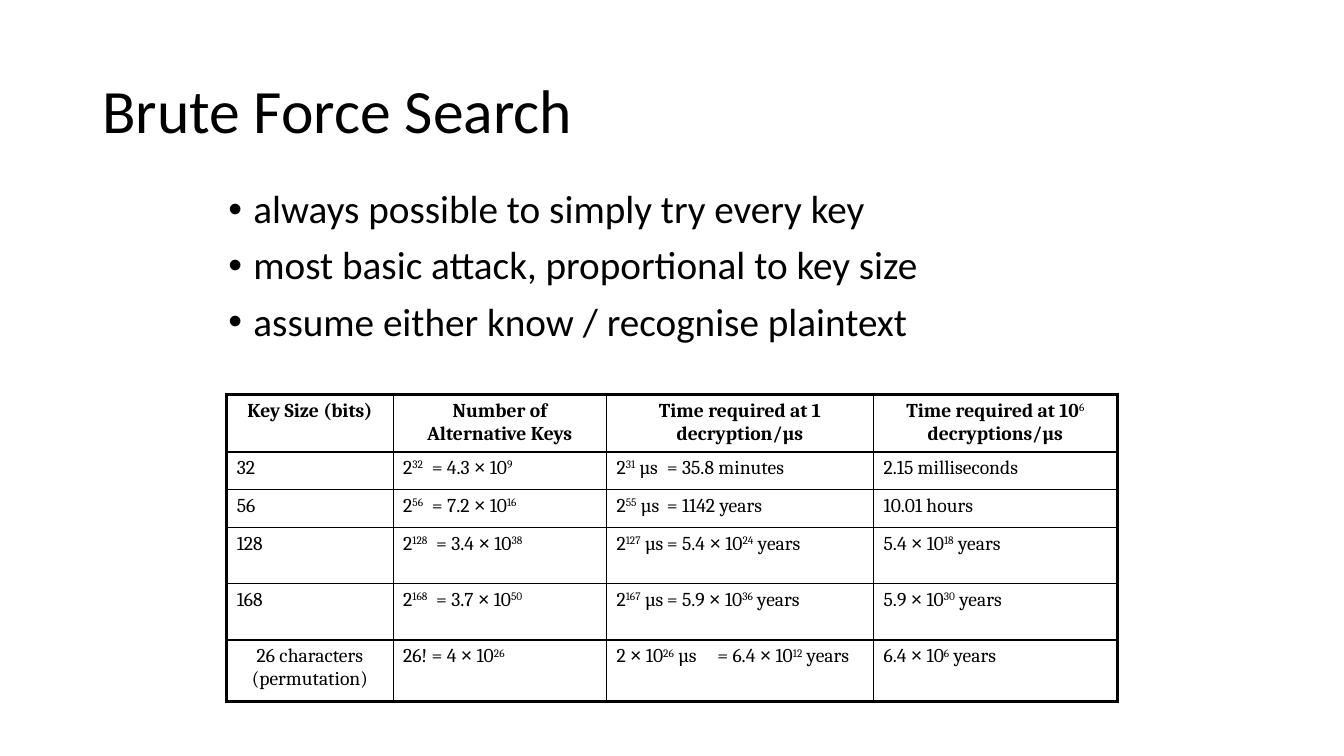
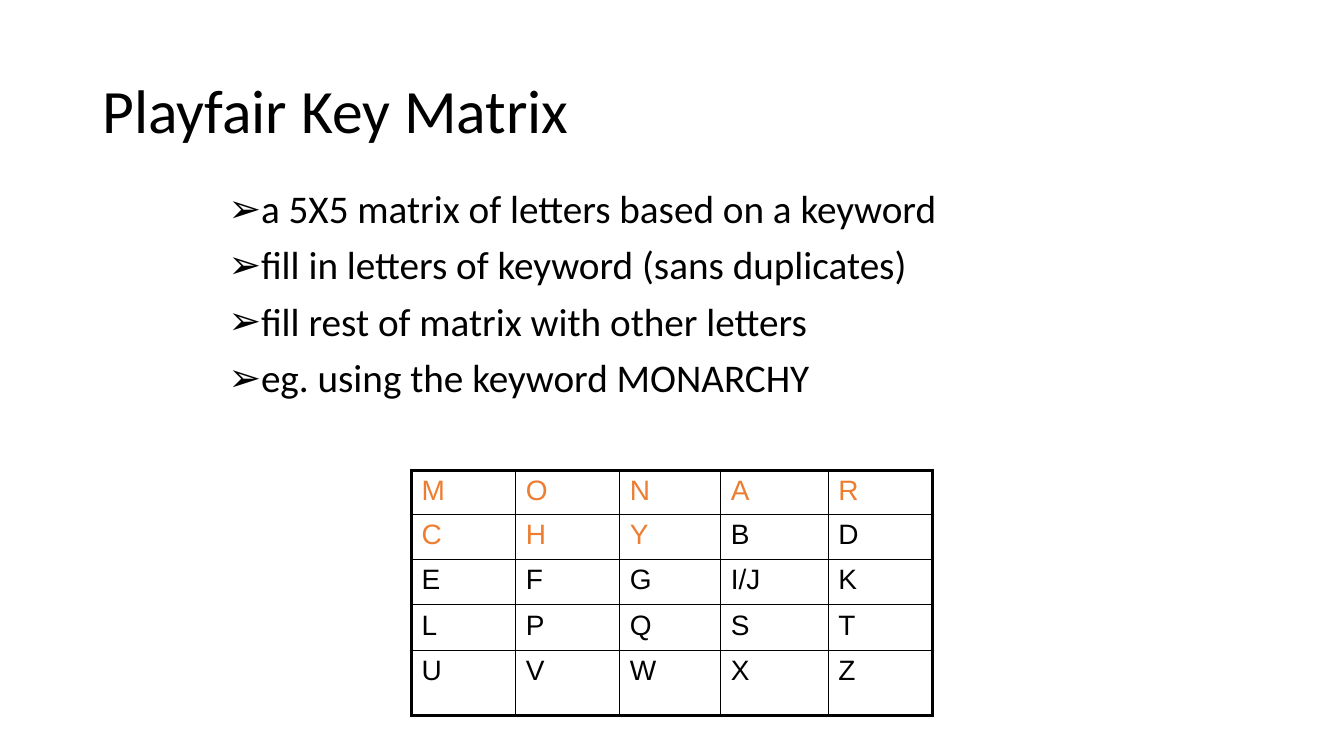
from pptx import Presentation
from pptx.dml.color import RGBColor
from pptx.enum.text import MSO_ANCHOR, PP_ALIGN
from pptx.oxml import parse_xml
from pptx.oxml.ns import nsdecls
from pptx.util import Emu, Pt

MIDDLE, TOP = MSO_ANCHOR.MIDDLE, MSO_ANCHOR.TOP
CENTER, LEFT = PP_ALIGN.CENTER, PP_ALIGN.LEFT

THEME = {
    "ink": "000000", "accent": "ED7D31",
    "font": "Calibri", "serif": "Cambria", "sans": "Arial",
    "title": 44, "body": 28, "keys": 14, "matrix": 20,
    "outer": 2.25, "inner": 1,
}

prs = Presentation()
prs.slide_width, prs.slide_height = Emu(12192000), Emu(6858000)
COLUMNS = 160
UNIT = prs.slide_width // COLUMNS


def add_runs(p, text, font, size, color="ink", bold=False):
    for i, part in enumerate(text.split("^")):
        raised = i % 2 == 1
        for piece in part.replace("×", "|×|").split("|"):
            if not piece:
                continue
            r = p.add_run()
            r.text = piece
            r.font.name = THEME["sans" if piece == "×" else font]
            r.font.size = Pt(THEME[size])
            r.font.color.rgb = RGBColor.from_string(THEME[color])
            r.font.bold = bold and not raised
            if raised:
                r._r.get_or_add_rPr().set("baseline", "30000")


def add_grid(s, left, top, widths, heights):
    box = [Emu(round(n * UNIT)) for n in (left, top, sum(widths), sum(heights))]
    table = s.shapes.add_table(len(heights), len(widths), *box).table
    table.first_row = table.horz_banding = False
    for column, width in zip(table.columns, widths):
        column.width = Emu(round(width * UNIT))
    for row, height in zip(table.rows, heights):
        row.height = Emu(round(height * UNIT))
    for i in range(len(heights)):
        for j in range(len(widths)):
            cell = table.cell(i, j)
            cell.fill.background()
            edges = {"L": j == 0, "R": j == len(widths) - 1,
                     "T": i == 0, "B": i == len(heights) - 1}
            for n, (side, outer) in enumerate(edges.items()):
                weight = Pt(THEME["outer" if outer else "inner"])
                cell._tc.get_or_add_tcPr().insert(n, parse_xml(
                    f'<a:ln{side} {nsdecls("a")} w="{weight}"><a:solidFill>'
                    f'<a:srgbClr val="{THEME["ink"]}"/></a:solidFill></a:ln{side}>'))
    return table


PAGES = [
    ("Brute Force Search", "•", 24, [
        "always possible to simply try every key",
        "most basic attack, proportional to key size",
        "assume either know / recognise plaintext"]),
    ("Playfair Key Matrix", "➢", 35, [
        "a 5X5 matrix of letters based on a keyword",
        "fill in letters of keyword (sans duplicates)",
        "fill rest of matrix with other letters",
        "eg. using the keyword MONARCHY"]),
]

slides = []
for title, bullet, body_height, points in PAGES:
    s = prs.slides.add_slide(prs.slide_layouts[6])
    slides.append(s)
    for box, anchor, size, lines in (
            ((11, 4.8, 138, 17.4), MIDDLE, "title", [title]),
            ((26, 22, 108, body_height), TOP, "body", points)):
        sp = s.shapes.add_textbox(*[Emu(round(n * UNIT)) for n in box])
        tf = sp.text_frame
        tf.word_wrap = True
        tf.vertical_anchor = anchor
        for i, line in enumerate(lines):
            p = tf.add_paragraph() if i else tf.paragraphs[0]
            p.line_spacing = 0.9
            add_runs(p, line, "font", size)
            if size == "body":
                p.space_before = Pt(10)
                pPr = p._p.get_or_add_pPr()
                pPr.set("marL", str(3 * UNIT))
                pPr.set("indent", str(-3 * UNIT))
                pPr.append(parse_xml(f'<a:buFont {nsdecls("a")} typeface="{THEME["sans"]}"/>'))
                pPr.append(parse_xml(f'<a:buChar {nsdecls("a")} char="{bullet}"/>'))

KEY_ROWS = [
    ("Key Size (bits)", "Number of Alternative Keys",
     "Time required at 1 decryption/µs", "Time required at 10^6^ decryptions/µs"),
    ("32", "2^32^  = 4.3 × 10^9^", "2^31^ µs\t= 35.8 minutes", "2.15 milliseconds"),
    ("56", "2^56^  = 7.2 × 10^16^", "2^55^ µs\t= 1142 years", "10.01 hours"),
    ("128", "2^128^  = 3.4 × 10^38^", "2^127^ µs\t= 5.4 × 10^24^ years", "5.4 × 10^18^ years"),
    ("168", "2^168^  = 3.7 × 10^50^", "2^167^ µs\t= 5.9 × 10^36^ years", "5.9 × 10^30^ years"),
    ("26 characters (permutation)", "26! = 4 × 10^26^",
     "2 × 10^26^ µs\t= 6.4 × 10^12^ years", "6.4 × 10^6^ years"),
]
key_table = add_grid(slides[0], 27, 47, [19.8, 25.4, 31.8, 29], [6.6, 4.5, 4.5, 6.7, 6.7, 7.3])
for i, row in enumerate(KEY_ROWS):
    for j, text in enumerate(row):
        p = key_table.cell(i, j).text_frame.paragraphs[0]
        p.alignment = CENTER if i == 0 or text.startswith("26 char") else LEFT
        p.space_before = p.space_after = Pt(3)
        add_runs(p, text, "serif", "keys", bold=i == 0)

KEYWORD = "MONARCHY"
letters = list(KEYWORD) + [c for c in "ABCDEFGHIKLMNOPQRSTUVWXYZ" if c not in KEYWORD]
matrix = add_grid(slides[1], 49, 56, [12.4, 12.4, 12, 12.8, 12.4], [5.2, 5.4, 5.4, 5.4, 7.8])
for n, letter in enumerate(letters):
    p = matrix.cell(*divmod(n, 5)).text_frame.paragraphs[0]
    p.space_before = Pt(4)
    add_runs(p, "I/J" if letter == "I" else letter, "sans", "matrix",
             "accent" if letter in KEYWORD else "ink")

prs.save("out.pptx")
